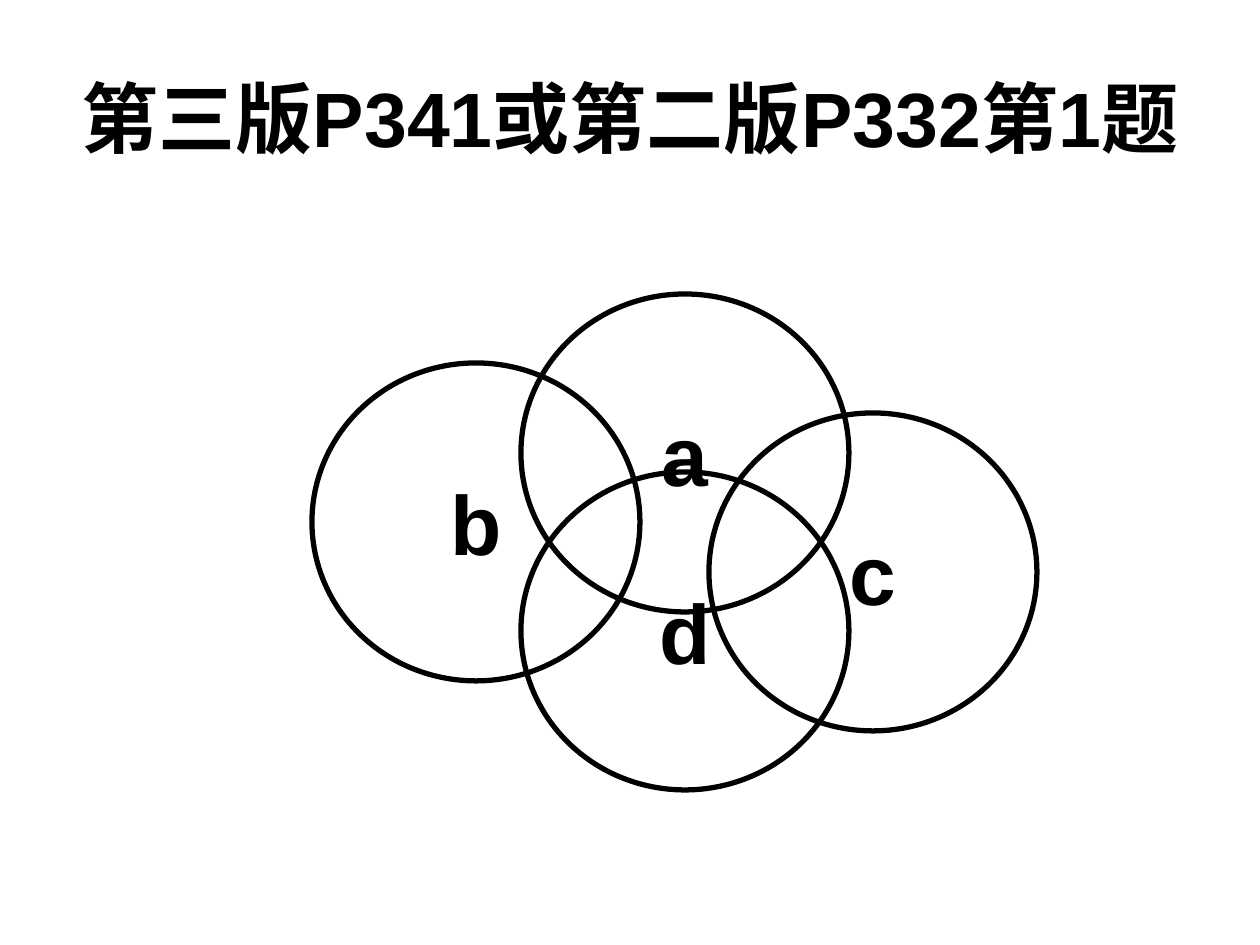
import dataclasses
import typing

import pptx
import pptx.dml.color
import pptx.enum.shapes
import pptx.enum.text
import pptx.util

EMU_PER_PX = 914400 // 126


@dataclasses.dataclass(frozen=True)
class Theme:
    ink: pptx.dml.color.RGBColor = pptx.dml.color.RGBColor(0, 0, 0)
    font: str = "Arial"
    title_size: int = 44
    label_size: int = 48
    outline: int = 3


@dataclasses.dataclass(frozen=True)
class Circle:
    label: str
    left: int
    top: int


THEME = Theme()
CIRCLE_WIDTH, CIRCLE_HEIGHT = 328, 318
CIRCLES = (
    Circle("b", 312, 363),
    Circle("d", 521, 472),
    Circle("a", 521, 294),
    Circle("c", 709, 413),
)


def px(length: int) -> pptx.util.Emu:
    return pptx.util.Emu(length * EMU_PER_PX)


def write_text(shape: typing.Any, text: str, *, size: int, wrap: bool) -> None:
    frame = shape.text_frame
    frame.text = text
    frame.auto_size = pptx.enum.text.MSO_AUTO_SIZE.NONE
    frame.word_wrap = wrap
    frame.vertical_anchor = pptx.enum.text.MSO_ANCHOR.MIDDLE
    paragraph = frame.paragraphs[0]
    paragraph.alignment = pptx.enum.text.PP_ALIGN.CENTER
    font = paragraph.runs[0].font
    font.name = THEME.font
    font.size = pptx.util.Pt(size)
    font.bold = True
    font.color.rgb = THEME.ink


def draw_circle(slide: typing.Any, circle: Circle) -> None:
    shape = slide.shapes.add_shape(
        pptx.enum.shapes.MSO_SHAPE.OVAL,
        px(circle.left), px(circle.top), px(CIRCLE_WIDTH), px(CIRCLE_HEIGHT),
    )
    shape.shadow.inherit = False
    shape.fill.background()
    shape.line.color.rgb = THEME.ink
    shape.line.width = pptx.util.Pt(THEME.outline)
    write_text(shape, circle.label, size=THEME.label_size, wrap=False)


def main() -> None:
    presentation = pptx.Presentation()
    presentation.slide_width = pptx.util.Inches(10)
    presentation.slide_height = pptx.util.Inches(7.5)
    slide = presentation.slides.add_slide(presentation.slide_layouts[5])
    title = slide.shapes.title
    title.left, title.top, title.width, title.height = map(px, (63, 38, 1134, 158))
    write_text(title, "第三版P341或第二版P332第1题", size=THEME.title_size, wrap=True)
    for circle in CIRCLES:
        draw_circle(slide, circle)
    presentation.save("out.pptx")


if __name__ == "__main__":
    main()
